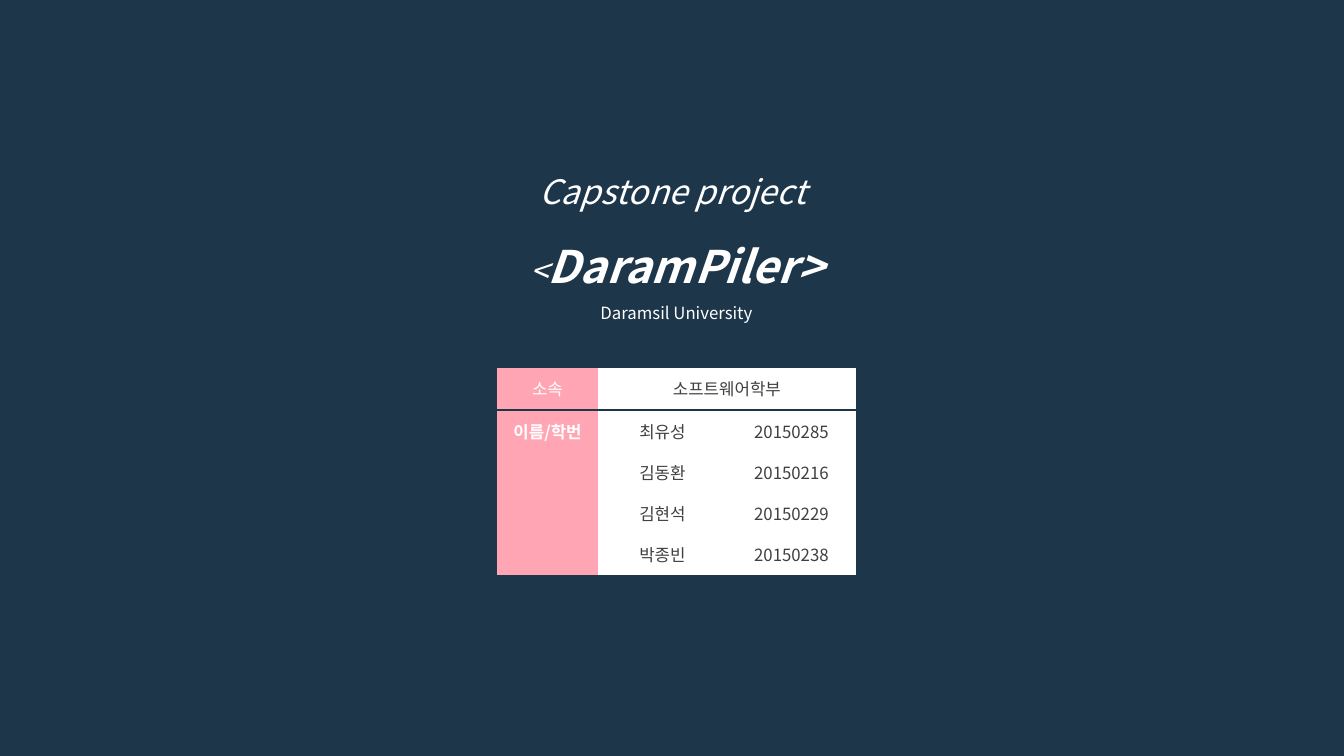
from pptx import Presentation
from pptx import util as u
from pptx.dml.color import RGBColor
from pptx.enum import text
from pptx.oxml.ns import qn
from lxml import etree

COLORS = {"navy": "1D364A", "pink": "FFA5B4", "white": "FFFFFF", "gray": "404040"}
FONT = "Noto Sans CJK KR"
NO_GRID_STYLE = "{2D5ABB26-0587-4C30-8999-92F81FD0307C}"
ROW, RULE = 41, 2
STUDENTS = [("최유성", "20150285"), ("김동환", "20150216"),
            ("김현석", "20150229"), ("박종빈", "20150238")]


def px(n):
    return u.Emu(round(n * 914400 / 100.8))


def rgb(name):
    return RGBColor.from_string(COLORS[name])


class Deck:
    def __init__(self):
        self.prs = Presentation()
        self.prs.slide_width, self.prs.slide_height = px(1344), px(756)
        self.s = self.prs.slides.add_slide(self.prs.slide_layouts[5])
        self.s.background.fill.solid()
        self.s.background.fill.fore_color.rgb = rgb("navy")

    def style(self, p, size, color, bold=False, italic=False):
        p.alignment = text.PP_ALIGN.CENTER
        f = p.font
        f.size, f.bold, f.italic, f.name = u.Pt(size), bold, italic, FONT
        f.color.rgb = rgb(color)
        etree.SubElement(f._element, qn("a:ea"), typeface=FONT)

    def title(self, left, top, width, height, lines):
        """Each line is (runs, size, italic); each run is (text, size, bold)."""
        sp = self.s.shapes.title
        sp.left, sp.top, sp.width, sp.height = map(px, (left, top, width, height))
        tf = sp.text_frame
        tf.word_wrap = True
        tf.auto_size = text.MSO_AUTO_SIZE.SHAPE_TO_FIT_TEXT
        tf.vertical_anchor = text.MSO_ANCHOR.TOP
        for i, (runs, size, italic) in enumerate(lines):
            p = tf.add_paragraph() if i else tf.paragraphs[0]
            p.line_spacing = 1.5
            self.style(p, size, "white", italic=italic)
            for words, run_size, bold in runs:
                r = p.add_run()
                r.text = words
                r.font.size, r.font.bold = u.Pt(run_size), bold

    def table(self, left, top, widths, heights):
        frame = self.s.shapes.add_table(len(heights), len(widths), px(left), px(top),
                                        px(sum(widths)), px(sum(heights)))
        tbl = frame.table
        tbl.first_row = tbl.horz_banding = False
        next(frame._element.iter(qn("a:tableStyleId"))).text = NO_GRID_STYLE
        for col, width in zip(tbl.columns, widths):
            col.width = px(width)
        for row, height in zip(tbl.rows, heights):
            row.height = px(height)
        return tbl

    def cell(self, cell, fill, words="", color="gray", bold=False, size=12):
        cell.fill.solid()
        cell.fill.fore_color.rgb = rgb(fill)
        cell.vertical_anchor = text.MSO_ANCHOR.MIDDLE
        p = cell.text_frame.paragraphs[0]
        self.style(p, size, color, bold)
        if words:
            p.add_run().text = words
        else:
            etree.SubElement(p._p, qn("a:endParaRPr"), sz=str(size * 100))

    def rule(self, cell):
        """Make an empty cell thin enough to act as a dividing line."""
        self.cell(cell, "navy", size=1)
        cell.margin_top = cell.margin_bottom = 0


def main():
    d = Deck()
    d.title(372, 146, 609, 179, [
        ([("Capstone project ", 24, False)], 24, True),
        ([("<", 24, False), ("DaramPiler>", 32, True)], 24, True),
        ([("Daramsil University", 12, False)], 12, False),
    ])
    tbl = d.table(497, 368, [101, 129, 129], [ROW, RULE] + [ROW] * len(STUDENTS))
    d.cell(tbl.cell(0, 0), "pink", "소속", "white")
    d.cell(tbl.cell(0, 1), "white", "소프트웨어학부")
    d.cell(tbl.cell(0, 2), "white")
    for c in range(3):
        d.rule(tbl.cell(1, c))
    for row in (0, 1):
        tbl.cell(row, 1).merge(tbl.cell(row, 2))
    for i, student in enumerate(STUDENTS):
        label = "" if i else "이름/학번"
        d.cell(tbl.cell(i + 2, 0), "pink", label, "white", bold=True)
        for c, words in enumerate(student, 1):
            d.cell(tbl.cell(i + 2, c), "white", words)
    d.prs.save("out.pptx")


if __name__ == "__main__":
    main()
